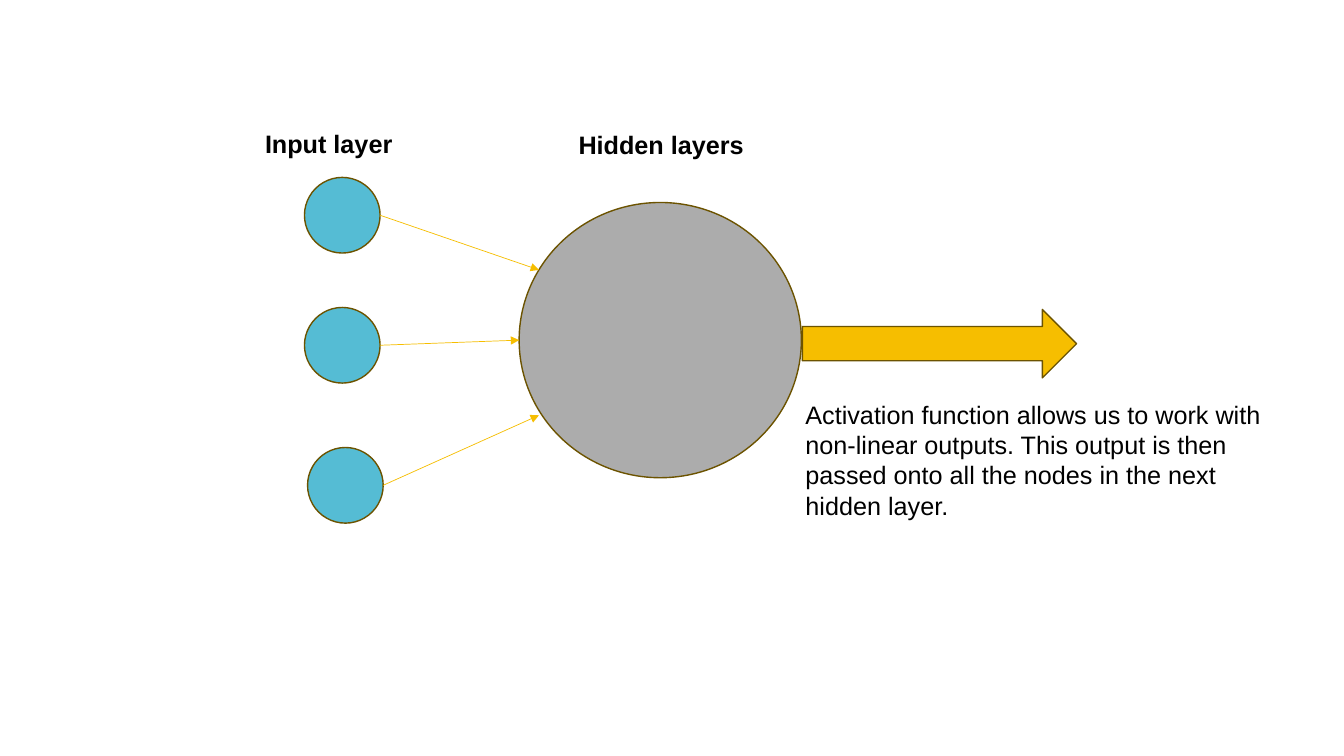
from collections import namedtuple
from dataclasses import dataclass

from lxml import etree
from pptx import Presentation
from pptx import util as u
from pptx.dml.color import RGBColor as Rgb
from pptx.enum import shapes as kinds
from pptx.enum import text as txt
from pptx.oxml import ns

Box = namedtuple("Box", "x y w h")
Kind = kinds.MSO_SHAPE


@dataclass(frozen=True)
class Theme:
    font: str = "Arial"
    size: float = 18
    ink: str = "000000"
    node: str = "55BCD4"
    body: str = "ACACAC"
    gold: str = "F6BE00"
    edge: str = "6C5300"
    rim: float = 1
    thin: float = 0.5


THEME = Theme()


def part(box, x, y, w, h):
    """Box inside another one, given in percent of its size."""
    return Box(box.x + box.w * x / 100, box.y + box.h * y / 100,
               box.w * w / 100, box.h * h / 100)


def emu(*sizes):
    return [u.Inches(size) for size in sizes]


def shape(slide, kind, box, fill):
    item = slide.shapes.add_shape(kind, *emu(*box))
    item.shadow.inherit = False
    item.fill.solid()
    item.fill.fore_color.rgb = Rgb.from_string(fill)
    item.line.color.rgb = Rgb.from_string(THEME.edge)
    item.line.width = u.Pt(THEME.rim)


def label(slide, box, words, bold=False):
    frame = slide.shapes.add_textbox(*emu(*box)).text_frame
    frame.word_wrap = True
    frame.auto_size = txt.MSO_AUTO_SIZE.SHAPE_TO_FIT_TEXT
    para = frame.paragraphs[0]
    para.text = words
    font = para.font
    font.name, font.size, font.bold = THEME.font, u.Pt(THEME.size), bold
    font.color.rgb = Rgb.from_string(THEME.ink)


def link(slide, start, end):
    line = slide.shapes.add_connector(
        kinds.MSO_CONNECTOR.STRAIGHT, *emu(*start, *end))
    line.line.color.rgb = Rgb.from_string(THEME.gold)
    line.line.width = u.Pt(THEME.thin)
    # Arrowhead, and no shadow
    etree.SubElement(line.line._get_or_add_ln(), ns.qn("a:tailEnd"),
                     type="triangle")
    etree.SubElement(line._element.spPr, ns.qn("a:effectLst"))


def inputs(slide, box):
    """Title and nodes; returns the right edge point of each node."""
    label(slide, part(box, 0, 0, 100, 10), "Input layer", True)
    ports = []
    for x, y in ((32, 13.6), (32, 46.1), (34, 81.1)):
        node = part(box, x, y, 49, 18.9)
        shape(slide, Kind.OVAL, node, THEME.node)
        ports.append((node.x + node.w, node.y + node.h / 2))
    return ports


def hidden(slide, box):
    """Title and large node; returns the points where links arrive."""
    label(slide, part(box, 17.5, 0, 67.5, 11.4), "Hidden layers", True)
    body = part(box, 0, 22.2, 100, 77.8)
    shape(slide, Kind.OVAL, body, THEME.body)
    return [part(body, x, y, 0, 0)[:2]
            for x, y in ((7, 24.5), (0, 50), (7, 77.3))]


def output(slide, box):
    """Block arrow with the explanation below it."""
    shape(slide, Kind.RIGHT_ARROW, part(box, 1.4, 0, 56.2, 31.6), THEME.gold)
    label(slide, part(box, 0, 39.1, 100, 60.9),
          "Activation function allows us to work with non-linear outputs. "
          "This output is then passed onto all the nodes in the next "
          "hidden layer.")


def network(slide, box):
    tips = hidden(slide, part(box, 38.63, 16.4, 21, 46.8))
    ports = inputs(slide, part(box, 18.98, 16.27, 11.48, 52.93))
    output(slide, part(box, 59.19, 40.93, 36.31, 28.67))
    # Links from input nodes to the hidden layers
    for port, tip in zip(ports, tips):
        link(slide, port, tip)


def main():
    deck = Presentation()
    page = Box(0, 0, 13.33, 7.5)
    deck.slide_width, deck.slide_height = emu(page.w, page.h)
    network(deck.slides.add_slide(deck.slide_layouts[6]), page)
    deck.save("out.pptx")


if __name__ == "__main__":
    main()
